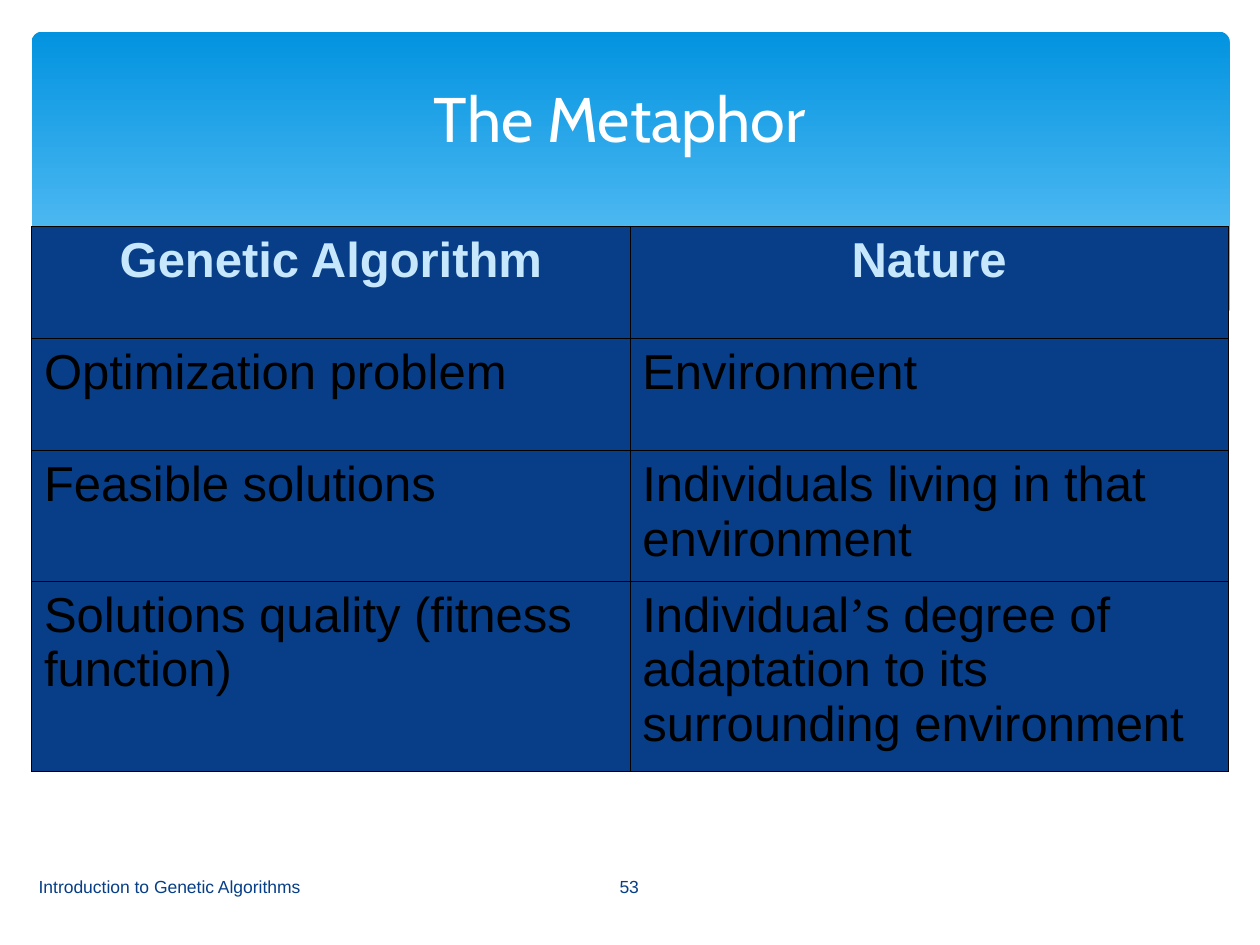
import lxml.etree
import pptx
import pptx.dml.color
import pptx.enum.shapes
import pptx.enum.text
import pptx.oxml.ns
import pptx.util

Cm = pptx.util.Cm
Align = pptx.enum.text.PP_ALIGN
Anchor = pptx.enum.text.MSO_ANCHOR
NAVY, PALE, WHITE, BLACK = "073E87", "C6E7FC", "FFFFFF", "000000"


def paint(target, colour):
    if hasattr(target, "solid"):
        target.solid()
        target = target.fore_color
    target.rgb = pptx.dml.color.RGBColor.from_string(colour)


def write(text_frame, text, size=10, font="Arial", colour=NAVY, bold=False,
          align=Align.LEFT, anchor=Anchor.MIDDLE):
    text_frame.word_wrap = True
    text_frame.vertical_anchor = anchor
    paragraph = text_frame.paragraphs[0]
    paragraph.alignment = align
    for piece in text.replace("’", "|’|").split("|"):
        run = paragraph.add_run()
        run.text = piece
        run.font.name = "Times New Roman" if piece == "’" else font
        run.font.size = pptx.util.Pt(size)
        run.font.bold = bold
        paint(run.font.color, colour)


presentation = pptx.Presentation()
presentation.slide_width = Cm(25.4)
presentation.slide_height = Cm(19.05)
slide = presentation.slides.add_slide(presentation.slide_layouts[6])

banner = slide.shapes.add_shape(
    pptx.enum.shapes.MSO_SHAPE.ROUNDED_RECTANGLE, Cm(0.64), Cm(0.64), Cm(24.15), Cm(6.86))
banner.shadow.inherit = False
banner.adjustments[0] = 0.03
banner.fill.gradient()
banner.fill.gradient_angle = 270
for stop, colour in zip(banner.fill.gradient_stops, ("0293E0", "83D3FE")):
    paint(stop.color, colour)
banner.line.fill.background()

wave_points = [(24.82, 6.25), (23.1, 6.8), (20.9, 7.03), (17.5, 6.81), (14.1, 6.22),
               (10.6, 5.41), (7.4, 4.83), (4.5, 4.67), (2.2, 4.95), (0.58, 5.41),
               (0.58, 8.36), (24.82, 8.36)]
builder = slide.shapes.build_freeform(Cm(wave_points[0][0]), Cm(wave_points[0][1]))
builder.add_line_segments([(Cm(x), Cm(y)) for x, y in wave_points[1:]])
wave = builder.convert_to_shape()
wave.shadow.inherit = False
paint(wave.fill, WHITE)
wave.line.fill.background()

texts = [
    ("Introduction to Genetic Algorithms", (0.53, 17.37, 10.52, 1.02), {}),
    ("53", (11.07, 17.37, 3.23, 1.02), {"align": Align.CENTER}),
    ("The Metaphor", (1.7, 1.47, 21.59, 1.78),
     {"size": 36, "font": "Cabin", "colour": WHITE, "align": Align.CENTER}),
]
for text, box, style in texts:
    text_box = slide.shapes.add_textbox(*map(Cm, box))
    write(text_box.text_frame, text, **style)

rows = [
    ("Genetic Algorithm", "Nature"),
    ("Optimization problem", "Environment"),
    ("Feasible solutions", "Individuals living in that environment"),
    ("Solutions quality (fitness function)",
     "Individual’s degree of adaptation to its surrounding environment"),
]
heights = [2.26, 2.26, 2.62, 3.81]
table = slide.shapes.add_table(
    len(rows), 2, Cm(0.64), Cm(4.57), Cm(24.13), Cm(sum(heights))).table
table.horz_banding = False
table.first_row = False
for column in table.columns:
    column.width = Cm(12.06)

for row_index, (row, height) in enumerate(zip(rows, heights)):
    table.rows[row_index].height = Cm(height)
    if row_index == 0:
        style = {"colour": PALE, "bold": True, "align": Align.CENTER}
    else:
        style = {"colour": BLACK}
    for column_index, text in enumerate(row):
        cell = table.cell(row_index, column_index)
        cell.margin_left = cell.margin_right = Cm(0.25)
        cell.margin_top = cell.margin_bottom = Cm(0.13)
        write(cell.text_frame, text, size=28, anchor=Anchor.TOP, **style)
        cell.vertical_anchor = Anchor.TOP
        properties = cell._tc.get_or_add_tcPr()
        for side in ("a:lnL", "a:lnR", "a:lnT", "a:lnB"):
            border = lxml.etree.SubElement(
                properties, pptx.oxml.ns.qn(side), w=str(pptx.util.Pt(0.45)))
            border_fill = lxml.etree.SubElement(border, pptx.oxml.ns.qn("a:solidFill"))
            lxml.etree.SubElement(border_fill, pptx.oxml.ns.qn("a:srgbClr"), val=BLACK)
        paint(cell.fill, NAVY)

presentation.save("out.pptx")
